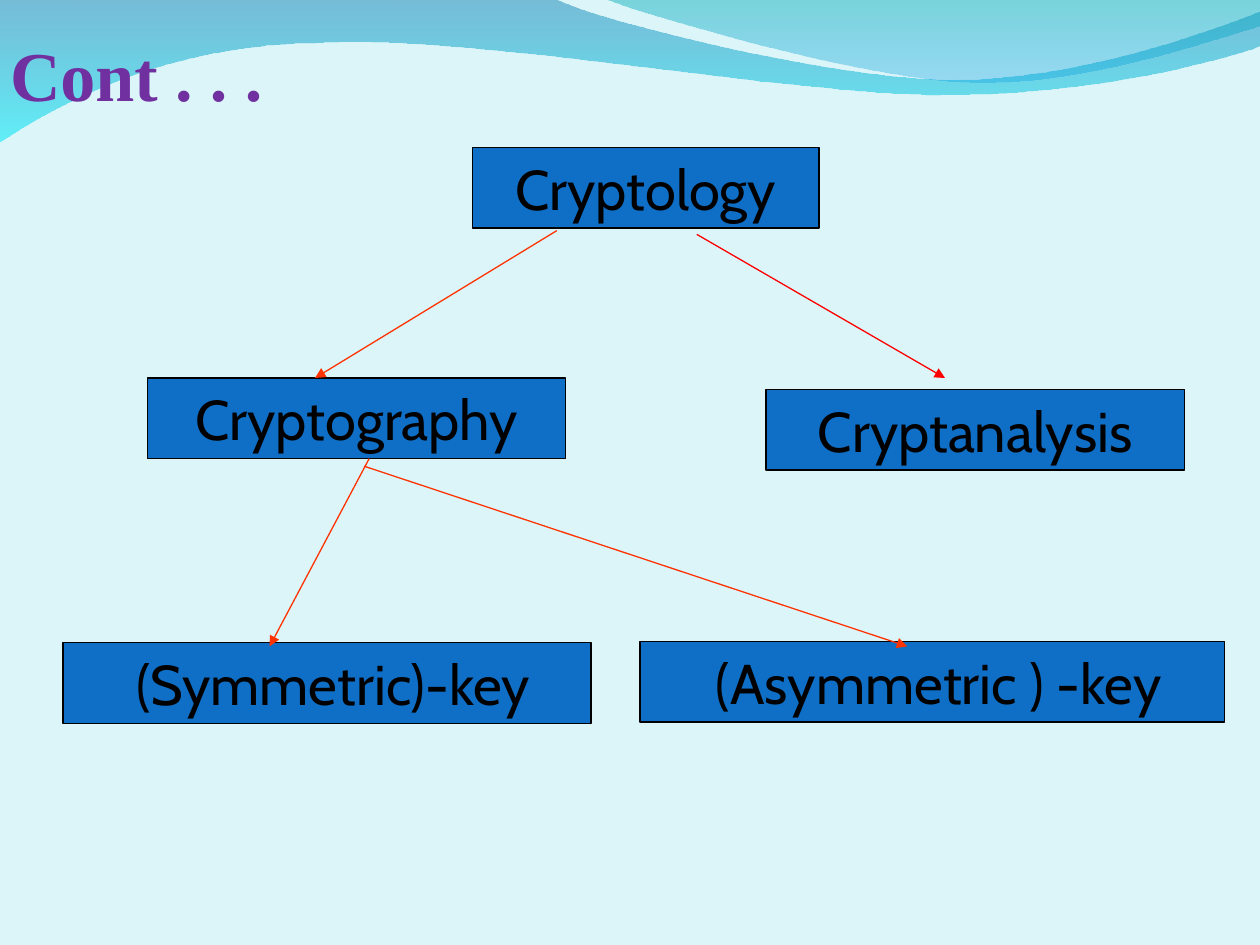
from lxml import etree
from pptx import Presentation
from pptx.dml.color import RGBColor
from pptx.enum.shapes import MSO_CONNECTOR, MSO_SHAPE
from pptx.enum.text import MSO_ANCHOR, MSO_AUTO_SIZE, PP_ALIGN
from pptx.oxml.ns import qn
from pptx.util import Inches, Pt

LINE, RECT = MSO_CONNECTOR.STRAIGHT, MSO_SHAPE.RECTANGLE
LEFT, CENTER = PP_ALIGN.LEFT, PP_ALIGN.CENTER
MIDDLE, BOTTOM = MSO_ANCHOR.MIDDLE, MSO_ANCHOR.BOTTOM
FIXED, GROW = MSO_AUTO_SIZE.NONE, MSO_AUTO_SIZE.SHAPE_TO_FIT_TEXT

PALE = RGBColor(0xDB, 0xF5, 0xF9)
BLUE = RGBColor(0x0F, 0x6F, 0xC6)
BLACK = RGBColor(0, 0, 0)
PURPLE = RGBColor(0x70, 0x30, 0xA0)
ORANGE = RGBColor(0xFF, 0x33, 0x00)
RED = RGBColor(0xFF, 0, 0)
STEEL = RGBColor(0x00, 0x79, 0xAF)
CYAN = RGBColor(0x00, 0xEB, 0xF8)
TEAL = RGBColor(0x00, 0xAD, 0xB6)
SKY = RGBColor(0x00, 0x9B, 0xE5)

WIDTH, HEIGHT = Inches(10), Inches(7.5)
CELL = WIDTH / 10  # grid of 10 columns by 7.5 rows
NODE_H = 0.64

# Each wave: outline parts from its box's corner; one point ends a line,
# three points are the two controls and the end of a curve.
BACK = [[(0.01, 0)], [(4.41, 0)],
        [(4.77, 0.18), (6.65, 0.64), (7.59, 0.64)],
        [(8.54, 0.64), (9.59, 0.27), (10.01, 0.1)],
        [(10.02, 0.37)],
        [(9.84, 0.45), (8.71, 0.77), (7.47, 0.76)],
        [(6.23, 0.76), (3.83, 0.29), (2.58, 0.35)],
        [(1.3, 0.36), (0.47, 0.84), (0, 1.14)],
        [(0.01, 0)]]
FRONT = [[(0, 0)],
         [(0.3, 0.12), (2.03, 0.63), (2.9, 0.66)],
         [(3.77, 0.7), (4.82, 0.33), (5.21, 0.22)],
         [(5.21, 0.01)], [(0, 0)]]

# Text, left, top and width of each node, from the tree's corner
NODES = [("Cryptology", 3.25, 0, 2.75),
         ("Cryptography", 0.67, 1.83, 3.32),
         ("Cryptanalysis", 5.58, 1.92, 3.32),
         (" (Symmetric)-key", 0, 3.93, 4.19),
         (" (Asymmetric ) -key", 4.58, 3.92, 4.64)]
# Start, end and colour of each arrow
ARROWS = [((3.92, 0.66), (2, 1.83), ORANGE),
          ((5.03, 0.69), (7, 1.83), RED),
          ((2.43, 2.47), (1.64, 3.96), ORANGE),
          ((2.39, 2.53), (6.7, 3.96), ORANGE)]


def grid(*cells):
    return [round(c * CELL) for c in cells]


def write(shape, text, size=32, font="Cabin", color=BLACK, bold=False,
          align=CENTER, anchor=MIDDLE, fit=GROW,
          inset=(0.1, 0.05, 0.1, 0.05)):
    frame = shape.text_frame
    frame.word_wrap = True
    frame.auto_size = fit
    frame.vertical_anchor = anchor
    (frame.margin_left, frame.margin_top,
     frame.margin_right, frame.margin_bottom) = grid(*inset)
    para = frame.paragraphs[0]
    para.alignment = align
    run = para.add_run()
    run.text = text
    run.font.size, run.font.name, run.font.bold = Pt(size), font, bold
    run.font.color.rgb = color


def bend(shape, parts):
    """Merge each three straight steps of a curved part into one curve."""
    steps = iter(list(shape.element.spPr.iter(qn("a:lnTo"))))
    for part in parts[1:]:
        group = [next(steps) for point in part]
        if len(group) == 3:
            curve = etree.Element(qn("a:cubicBezTo"))
            group[0].addprevious(curve)
            for step in group:
                curve.append(step[0])
                step.getparent().remove(step)


def wave(slide, left, top, parts, stops):
    """Draw an outline that fades downwards; a stop is colour and opacity."""
    pts = [grid(left + x, top + y) for part in parts for x, y in part]
    form = slide.shapes.build_freeform(*pts[0], scale=1.0)
    form.add_line_segments(pts[1:], close=True)
    shape = form.convert_to_shape()
    bend(shape, parts)
    shape.shadow.inherit = False
    shape.line.fill.background()
    shape.fill.gradient()
    shape.fill.gradient_angle = 270
    for stop, (color, alpha) in zip(shape.fill.gradient_stops, stops):
        stop.color.rgb = color
    marks = shape.element.spPr.iter(qn("a:srgbClr"))
    for mark, (color, alpha) in zip(list(marks), stops):
        etree.SubElement(mark, qn("a:alpha"), val=str(alpha * 1000))


def node(slide, text, left, top, width):
    shape = slide.shapes.add_shape(RECT, *grid(left, top, width, NODE_H))
    shape.shadow.inherit = False
    shape.fill.solid()
    shape.fill.fore_color.rgb = BLUE
    shape.line.color.rgb = BLACK
    shape.line.width = Pt(0.75)
    write(shape, text)


def arrow(slide, start, end, color):
    link = slide.shapes.add_connector(LINE, *grid(*start, *end))
    link.line.color.rgb = color
    link.line.width = Pt(0.75)
    edge = link.element.spPr.find(qn("a:ln"))
    etree.SubElement(edge, qn("a:tailEnd"), type="triangle")
    etree.SubElement(link.element.spPr, qn("a:effectLst"))


def tree(slide, left, top):
    for text, x, y, width in NODES:
        node(slide, text, left + x, top + y, width)
    for start, end, color in ARROWS:
        ends = [(left + x, top + y) for x, y in (start, end)]
        arrow(slide, *ends, color)


def title(slide, text, *box):
    shape = slide.shapes.add_textbox(*grid(*box))
    write(shape, text, size=40, font="Times New Roman", color=PURPLE,
          bold=True, align=LEFT, anchor=BOTTOM, fit=FIXED,
          inset=(0, 0.05, 0, 0))


def main():
    deck = Presentation()
    deck.slide_width, deck.slide_height = WIDTH, HEIGHT
    slide = deck.slides.add_slide(deck.slide_layouts[6])
    slide.background.fill.solid()
    slide.background.fill.fore_color.rgb = PALE
    wave(slide, -0.01, -0.01, BACK, [(STEEL, 46), (CYAN, 56)])
    wave(slide, 4.79, -0.01, FRONT, [(TEAL, 46), (SKY, 31)])
    tree(slide, 0.5, 1.17)
    title(slide, "Cont . . .", 0.08, 0.19, 9, 0.73)
    deck.save("out.pptx")


if __name__ == "__main__":
    main()
